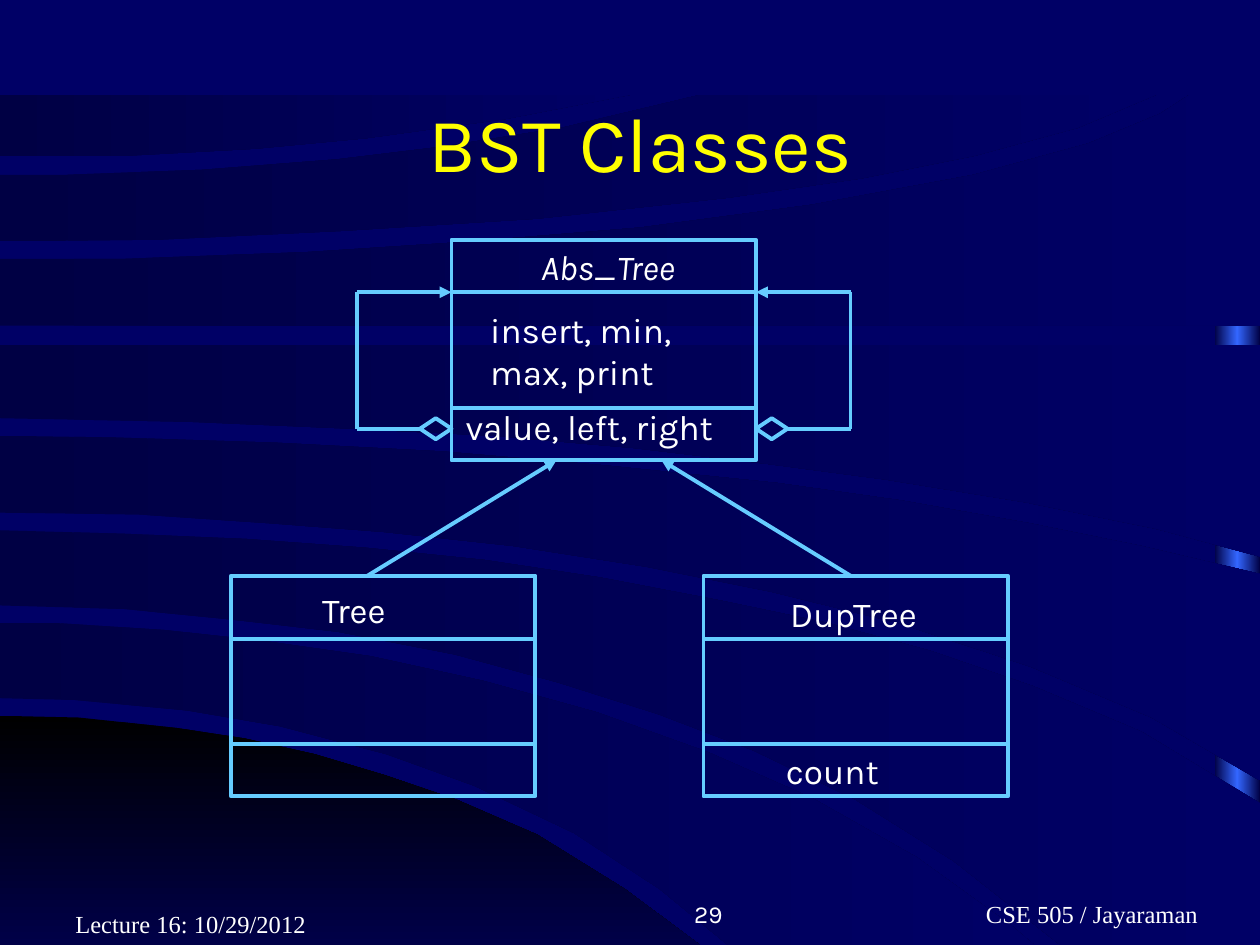
from typing import NamedTuple

from lxml.etree import SubElement
from pptx import Presentation
from pptx.dml.color import RGBColor
from pptx.enum.shapes import MSO_CONNECTOR, MSO_SHAPE
from pptx.enum.text import MSO_ANCHOR, PP_ALIGN
from pptx.oxml.ns import qn
from pptx.util import Pt

COLORS = {"back": "000066", "deep": "000044", "glow": "3366FF", "black": "000000",
          "dusk": "000048", "line": "66CCFF", "text": "FFFFFF", "title": "FFFF00"}
SANS, SERIF = "Karla", "Times New Roman"
WIDE, HIGH = 720, 540
BOX_W, BOX_H = 174, 126


class Band(NamedTuple):
    top: list
    base: list


class Node(NamedTuple):
    left: float
    top: float
    rows: tuple


class Label(NamedTuple):
    text: str
    left: float
    top: float
    width: float
    height: float = 32
    indent: float = 0
    size: float = 20
    face: str = SANS
    italic: bool = False
    align: PP_ALIGN = PP_ALIGN.LEFT
    anchor: MSO_ANCHOR = MSO_ANCHOR.TOP


# Curves of the backdrop, each edge from left to right
HILL = Band([(0, 409), (45, 410), (101, 416), (140, 422), (180, 431), (220, 443),
             (261, 457), (307, 477), (357, 508), (400, 540)], [(0, 540)])
BANDS = [
    Band([(0, 356), (32, 356), (94, 360), (149, 366), (212, 375), (276, 389), (341, 407),
          (405, 430), (464, 456), (524, 490), (578, 529), (591, 540)],
         [(0, 399), (43, 400), (107, 406), (160, 415), (221, 431), (271, 449),
          (328, 476), (377, 508), (416, 540)]),
    Band([(0, 303), (71, 305), (141, 308), (209, 313), (277, 320), (343, 330), (411, 343),
          (473, 356), (532, 372), (590, 392), (652, 418), (720, 459)],
         [(0, 346), (71, 348), (132, 354), (193, 361), (260, 374), (319, 390), (376, 408),
          (431, 429), (489, 457), (545, 492), (606, 540), (720, 540)]),
    Band([(0, 249), (65, 250), (158, 253), (253, 258), (346, 266), (444, 276), (515, 286),
          (588, 299), (652, 312), (720, 328)],
         [(0, 293), (79, 294), (153, 299), (219, 304), (293, 312), (370, 324), (440, 338),
          (513, 356), (589, 381), (658, 410), (720, 446)]),
    Band([(0, 197), (720, 197)],
         [(0, 239), (107, 241), (201, 245), (281, 249), (362, 256), (438, 265), (506, 274),
          (586, 287), (660, 302), (720, 318)]),
    Band([(0, 148), (68, 148), (176, 144), (269, 138), (366, 130), (464, 117), (556, 100),
          (622, 82), (663, 65), (680, 54), (720, 54)],
         [(0, 186), (720, 186)]),
    Band([(0, 100), (35, 100), (116, 97), (193, 91), (251, 84), (321, 73), (401, 54)],
         [(0, 138), (91, 137), (195, 132), (307, 125), (416, 113), (492, 102), (557, 89),
          (616, 73), (661, 54)]),
    Band([(0, 54), (361, 54)],
         [(0, 89), (73, 89), (146, 85), (209, 79), (289, 68)]),
]

NODES = [Node(258, 137, (30, 96)), Node(132, 329, (36, 96)), Node(402, 329, (36, 96))]

LABELS = [
    Label("Abs_Tree", 302, 137, 92, italic=True),
    Label("Tree", 163, 333, 72, indent=14),
    Label("DupTree", 430.5, 335, 111, indent=14),
    Label("insert, min,\nmax, print", 273, 173, 120, 55),
    Label("value, left, right", 259, 228, 165),
    Label("count", 442, 425, 68),
    Label("Lecture 16: 10/29/2012", 36, 504, 165, 36, size=14, face=SERIF,
          anchor=MSO_ANCHOR.BOTTOM),
    Label("29", 270, 498, 150, 36, size=14, align=PP_ALIGN.RIGHT,
          anchor=MSO_ANCHOR.BOTTOM),
    Label("CSE 505 / Jayaraman", 474, 498, 228, 36, indent=72, size=14, face=SERIF,
          align=PP_ALIGN.CENTER, anchor=MSO_ANCHOR.BOTTOM),
]


def color(name: str) -> RGBColor:
    return RGBColor.from_string(COLORS[name])


def shade(shape, names: list, angle: float = 0) -> None:
    """Fill with evenly spaced gradient stops and no outline."""
    shape.shadow.inherit = False
    shape.line.fill.background()
    shape.fill.gradient()
    shape.fill.gradient_angle = angle
    stops = shape.element.find(".//" + qn("a:gsLst"))
    for old in list(stops):
        stops.remove(old)
    for i, name in enumerate(names):
        stop = SubElement(stops, qn("a:gs"), pos=str(100000 * i // (len(names) - 1)))
        SubElement(stop, qn("a:srgbClr"), val=COLORS[name])


def draw_band(shapes, band: Band, names: list, angle: float = 0) -> None:
    first, *rest = [(Pt(x), Pt(y)) for x, y in band.top + band.base[::-1]]
    path = shapes.build_freeform(*first)
    path.add_line_segments(rest, close=True)
    shade(path.convert_to_shape(), names, angle)


def draw_frame(shapes, kind, left: float, top: float, width: float, height: float):
    shape = shapes.add_shape(kind, Pt(left), Pt(top), Pt(width), Pt(height))
    shape.shadow.inherit = False
    shape.fill.background()
    shape.line.color.rgb = color("line")
    shape.line.width = Pt(2.25)
    return shape


def draw_line(shapes, x1: float, y1: float, x2: float, y2: float, arrow: bool = False):
    line = shapes.add_connector(MSO_CONNECTOR.STRAIGHT, Pt(x1), Pt(y1), Pt(x2), Pt(y2))
    line.line.color.rgb = color("line")
    line.line.width = Pt(2.25)
    if arrow:
        SubElement(line.element.find(".//" + qn("a:ln")), qn("a:tailEnd"), type="triangle")
    SubElement(line.element.spPr, qn("a:effectLst"))
    return line


def draw_node(shapes, node: Node) -> None:
    draw_frame(shapes, MSO_SHAPE.RECTANGLE, node.left, node.top, BOX_W, BOX_H)
    for row in node.rows:
        y = node.top + row
        draw_line(shapes, node.left, y, node.left + BOX_W, y)


def draw_loop(shapes, edge: float, side: int) -> None:
    """Draw a self-reference; side is -1 for left and 1 for right."""
    far, top, base = edge + side * 54, 167, 245
    gem = draw_frame(shapes, MSO_SHAPE.DIAMOND, min(edge, edge + side * 18), base - 6, 18, 12)
    stem = draw_line(shapes, far, base, edge + side * 18, base)
    stem.end_connect(gem, 1 if side < 0 else 3)
    draw_line(shapes, far, base, far, top)
    draw_line(shapes, far, top, edge, top, arrow=True)


def draw_label(shapes, label: Label) -> None:
    box = shapes.add_textbox(Pt(label.left), Pt(label.top), Pt(label.width), Pt(label.height))
    frame = box.text_frame
    frame.word_wrap = True
    frame.vertical_anchor = label.anchor
    frame.text = label.text
    for para in frame.paragraphs:
        para.alignment = label.align
        if label.indent:
            para._p.get_or_add_pPr().set("marL", str(Pt(label.indent)))
        para.font.name = label.face
        para.font.size = Pt(label.size)
        para.font.italic = label.italic
        para.font.color.rgb = color("text")


def main() -> None:
    deck = Presentation()
    deck.slide_width, deck.slide_height = Pt(WIDE), Pt(HIGH)
    slide = deck.slides.add_slide(deck.slide_layouts[5])
    shapes = slide.shapes

    # Backdrop
    slide.background.fill.solid()
    slide.background.fill.fore_color.rgb = color("back")
    strip = shapes.add_shape(MSO_SHAPE.RECTANGLE, Pt(694), Pt(55), Pt(26), Pt(485))
    shade(strip, ["deep", "glow", "deep"])
    draw_band(shapes, HILL, ["black", "dusk"], 270)
    for band in BANDS:
        draw_band(shapes, band, ["deep", "back"])

    # Title, brought in front of the backdrop
    title = shapes.title
    title.element.getparent().append(title.element)
    title.left, title.top, title.width, title.height = Pt(60), Pt(36), Pt(612), Pt(90)
    title.text_frame.text = "BST Classes"
    title.text_frame.vertical_anchor = MSO_ANCHOR.MIDDLE
    para = title.text_frame.paragraphs[0]
    para.alignment = PP_ALIGN.CENTER
    para.font.name, para.font.size = SANS, Pt(44)
    para.font.color.rgb = color("title")

    # Class boxes, inheritance arrows and self-references
    for node in NODES:
        draw_node(shapes, node)
    for start, end in ((210, 318), (486, 378)):
        draw_line(shapes, start, 329, end, 263, arrow=True)
    draw_loop(shapes, 258, -1)
    draw_loop(shapes, 258 + BOX_W, 1)

    # Class text and footer
    for label in LABELS:
        draw_label(shapes, label)

    deck.save("out.pptx")


if __name__ == "__main__":
    main()
